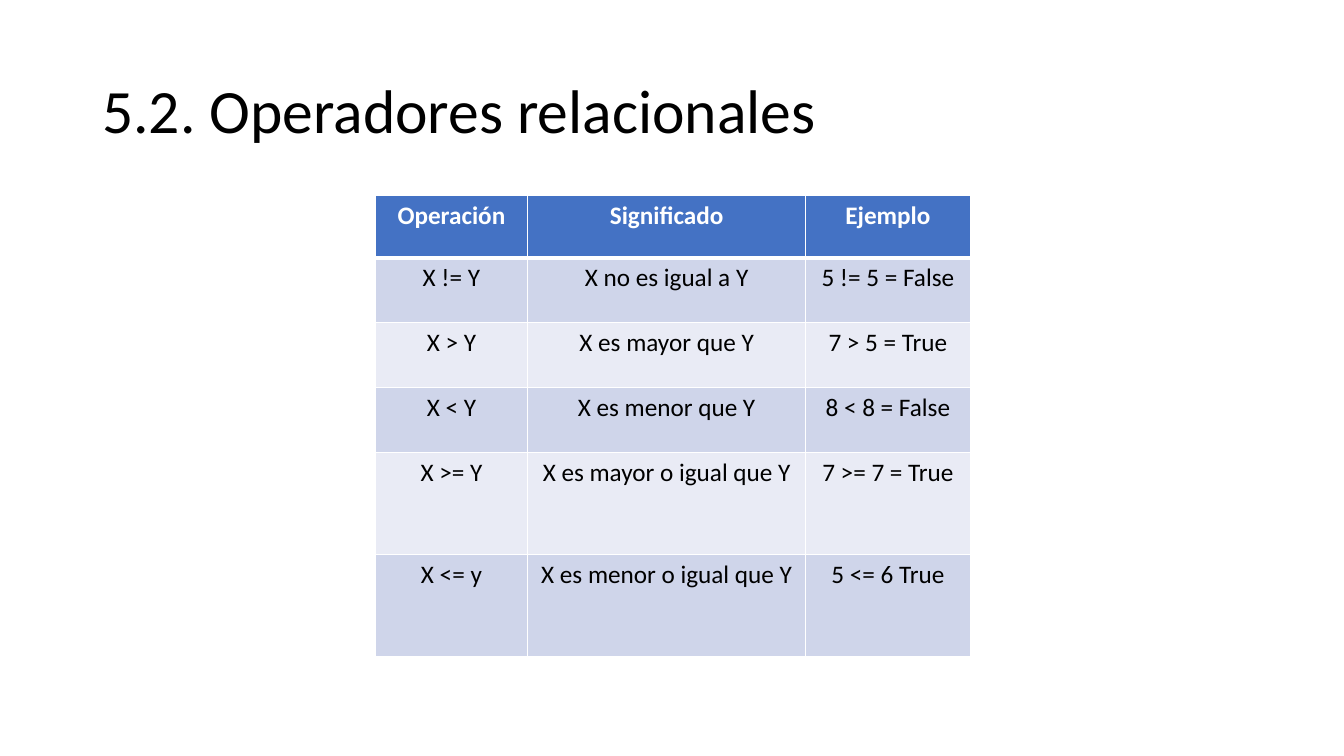
import pptx
import pptx.util
import pptx.dml.color
import pptx.enum.text
import pptx.oxml
import pptx.oxml.ns
import lxml.etree

Pt = pptx.util.Pt
ALIGN = pptx.enum.text.PP_ALIGN
ANCHOR = pptx.enum.text.MSO_ANCHOR

TITLE = "5.2. Operadores relacionales"
ROWS = [
    ("Operación", "Significado", "Ejemplo"),
    ("X != Y", "X no es igual a Y", "5 != 5 = False"),
    ("X > Y", "X es mayor que Y", "7 > 5 = True"),
    ("X < Y", "X es menor que Y", "8 < 8 = False"),
    ("X >= Y", "X es mayor o igual que Y", "7 >= 7 = True"),
    ("X <= y", "X es menor o igual que Y", "5 <= 6 True"),
]
COLORS = {
    "text": "000000",
    "white": "FFFFFF",
    "header": "4472C4",
    "odd": "CFD5EA",
    "even": "E9EBF5",
}
FONT = "Calibri"
TABLE_LEFT, TABLE_TOP = 268, 139.5
COLUMN_WIDTHS = [109, 198.5, 117.5]
ROW_HEIGHTS = [44.6, 46.4, 46.4, 46.4, 73, 73]


def rgb(name):
    return pptx.dml.color.RGBColor.from_string(COLORS[name])


def write_text(frame, text, size=18, color="text", bold=False,
               align=ALIGN.LEFT, anchor=ANCHOR.TOP, spacing=1.0):
    frame.word_wrap = True
    frame.vertical_anchor = anchor
    paragraph = frame.paragraphs[0]
    paragraph.alignment = align
    paragraph.line_spacing = spacing
    run = paragraph.add_run()
    run.text = text
    run.font.name = FONT
    run.font.size = Pt(size)
    run.font.bold = bold
    run.font.color.rgb = rgb(color)


def add_borders(cell, **widths):
    properties = cell._tc.get_or_add_tcPr()
    qn = pptx.oxml.ns.qn
    for side in "LRTB":
        line = lxml.etree.SubElement(properties, qn(f"a:ln{side}"),
                                     w=str(Pt(widths.get(side, 1))))
        fill = lxml.etree.SubElement(line, qn("a:solidFill"))
        lxml.etree.SubElement(fill, qn("a:srgbClr"), val=COLORS["white"])


presentation = pptx.Presentation()
presentation.slide_width, presentation.slide_height = Pt(960), Pt(540)
slide = presentation.slides.add_slide(presentation.slide_layouts[6])

title_box = slide.shapes.add_textbox(Pt(66), Pt(28.75), Pt(828), Pt(104.4))
write_text(title_box.text_frame, TITLE, size=44, anchor=ANCHOR.MIDDLE, spacing=0.9)

table = slide.shapes.add_table(
    len(ROWS), len(COLUMN_WIDTHS), Pt(TABLE_LEFT), Pt(TABLE_TOP),
    Pt(sum(COLUMN_WIDTHS)), Pt(sum(ROW_HEIGHTS))).table
for column, width in zip(table.columns, COLUMN_WIDTHS):
    column.width = Pt(width)
for row, height in zip(table.rows, ROW_HEIGHTS):
    row.height = Pt(height)

for row_index, texts in enumerate(ROWS):
    is_header = row_index == 0
    fill_name = "header" if is_header else ("even", "odd")[row_index % 2]
    thick_sides = {0: {"B": 3}, 1: {"T": 3}}.get(row_index, {})
    for column_index, text in enumerate(texts):
        cell = table.cell(row_index, column_index)
        add_borders(cell, **thick_sides)
        cell.fill.solid()
        cell.fill.fore_color.rgb = rgb(fill_name)
        write_text(cell.text_frame, text, bold=is_header, align=ALIGN.CENTER,
                   color="white" if is_header else "text")

presentation.save("out.pptx")
